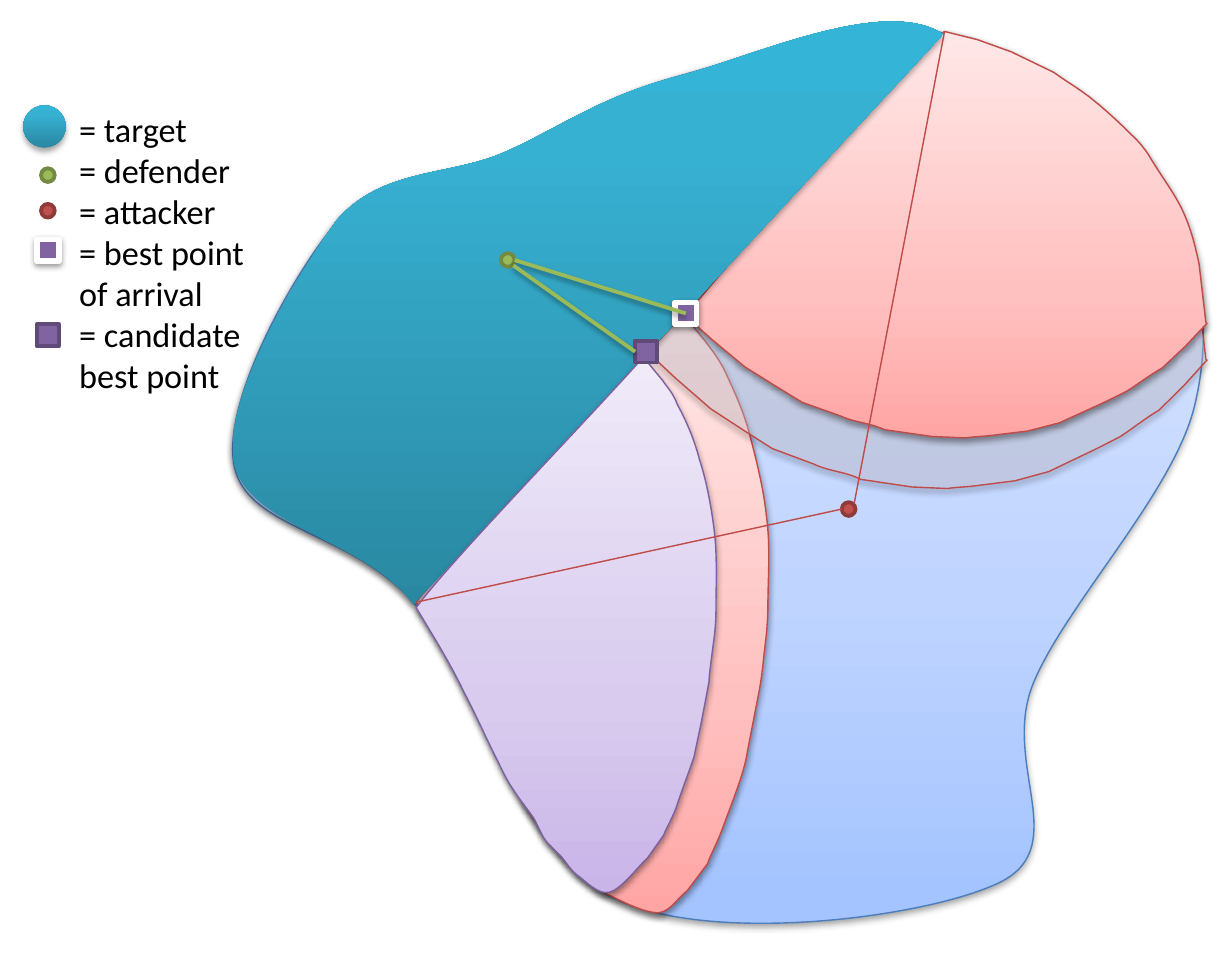
from copy import deepcopy

from lxml import etree
from pptx import Presentation
from pptx.dml.color import RGBColor
from pptx.enum import shapes, text
from pptx.oxml import ns
from pptx.util import Inches, Pt

BLACK, WHITE = RGBColor(0x00, 0x00, 0x00), RGBColor(0xFF, 0xFF, 0xFF)
BLUE_LINE = RGBColor(0x4B, 0x7E, 0xBC)
RED_LINE = RGBColor(0xBF, 0x4C, 0x48)
PURPLE_LINE = RGBColor(0x7D, 0x60, 0xA0)
RED, RED_EDGE = RGBColor(0xC0, 0x50, 0x4D), RGBColor(0x8E, 0x3B, 0x39)
GREEN, GREEN_EDGE = RGBColor(0x9B, 0xBB, 0x59), RGBColor(0x73, 0x8A, 0x42)
PURPLE, PURPLE_EDGE = RGBColor(0x80, 0x64, 0xA2), RGBColor(0x5F, 0x4A, 0x78)
HAZE = RGBColor(0xE6, 0xE0, 0xEC)

# Gradients from bottom to top: (position, colour)
BLUE_FADE = ((0, RGBColor(0xA4, 0xC4, 0xFF)), (0.35, RGBColor(0xBF, 0xD4, 0xFF)),
             (1, RGBColor(0xE6, 0xEE, 0xFF)))
RED_FADE = ((0, RGBColor(0xFF, 0xA6, 0xA5)), (0.35, RGBColor(0xFF, 0xC0, 0xBF)),
            (1, RGBColor(0xFF, 0xE7, 0xE7)))
PURPLE_FADE = ((0, RGBColor(0xC9, 0xB5, 0xE8)), (0.35, RGBColor(0xD8, 0xCB, 0xEE)),
               (1, RGBColor(0xF0, 0xEA, 0xF9)))
TARGET_FADE = ((0, RGBColor(0x2A, 0x88, 0xA2)), (0.8, RGBColor(0x37, 0xB1, 0xD2)),
               (1, RGBColor(0x34, 0xB4, 0xD6)))

# Shadows: (opacity in percent, distance in points)
SOFT_SHADOW, TARGET_SHADOW = (38, 1.6), (35, 1.8)

# Outlines in inches: M start, L line, C curve, Z close
FIELD = """M 4.91 .57 C 5.45 .42 6.31 .13 6.89 .24 C 7.48 .34 8.12 .76 8.43 1.22
C 8.74 1.67 8.88 2.32 8.73 2.95 C 8.59 3.58 7.79 4.41 7.55 4.99 C 7.31 5.57 7.83 6.17 7.32 6.44
C 6.81 6.7 5.22 6.91 4.5 6.57 C 3.78 6.24 3.48 4.93 3.02 4.4 C 2.55 3.87 1.8 3.87 1.71 3.4
C 1.62 2.93 2.15 1.98 2.48 1.6 C 2.81 1.23 3.29 1.31 3.69 1.14 C 4.1 .97 4.38 .72 4.91 .57 Z"""
LOWER_RED = """M 4.99 2.3 L 5.15 2.49 C 5.2 2.56 5.23 2.59 5.29 2.7 C 5.34 2.81 5.42 2.97 5.47 3.15
C 5.52 3.34 5.58 3.57 5.6 3.78 C 5.63 3.99 5.61 4.24 5.61 4.41 C 5.61 4.58 5.59 4.7 5.58 4.8
C 5.57 4.9 5.56 4.97 5.55 5.03 C 5.54 5.08 5.49 5.34 5.47 5.44 C 5.45 5.55 5.45 5.56 5.42 5.66
C 5.39 5.76 5.32 5.94 5.28 6.05 C 5.24 6.16 5.18 6.27 5.17 6.31 L 5.02 6.51
C 4.95 6.56 4.9 6.66 4.81 6.67 C 4.71 6.67 4.55 6.59 4.47 6.55 C 4.38 6.51 4.35 6.48 4.29 6.43
L 4.22 6.37 C 4.16 6.31 4.11 6.25 4.05 6.18 C 3.99 6.11 3.93 6.03 3.87 5.94
C 3.82 5.85 3.78 5.77 3.71 5.64 C 3.64 5.5 3.54 5.28 3.45 5.12 C 3.36 4.95 3.25 4.75 3.18 4.63
L 3.04 4.4 C 3.34 4.01 4.34 3 4.99 2.3 Z"""
UPPER_RED = """M 8.82 2.36 L 8.66 2.53 L 8.49 2.69 C 8.4 2.74 8.31 2.81 8.23 2.86
C 8.15 2.9 8.07 2.94 7.98 2.98 L 7.74 3.09 L 7.51 3.15 L 7.26 3.18 C 7.19 3.19 7.12 3.19 7.05 3.2
L 6.81 3.19 L 6.46 3.14 C 6.36 3.09 6.25 3.09 6.14 3.04 L 5.86 2.94 L 5.68 2.83 L 5.44 2.68
L 5.2 2.48 L 5.01 2.31 C 5.29 1.94 6.54 .57 6.9 .23 L 7.14 .29 L 7.39 .38 L 7.7 .53
C 7.78 .59 7.87 .64 7.96 .71 C 8.05 .78 8.16 .88 8.23 .95 C 8.3 1.02 8.32 1.03 8.39 1.13
C 8.47 1.27 8.58 1.41 8.64 1.54 C 8.7 1.67 8.73 1.79 8.76 1.93 L 8.81 2.36"""
TARGET = """M 4.91 .57 C 5.47 .43 6.45 -.04 6.89 .25 L 3.02 4.42 C 2.68 3.94 1.81 3.85 1.71 3.38
C 1.62 2.91 2.18 2 2.46 1.61 C 2.79 1.23 3.26 1.29 3.67 1.12 C 4.08 .94 4.36 .72 4.91 .57 Z"""
LOWER_PURPLE = """M 4.7 2.61 L 4.84 2.78 C 4.88 2.84 4.91 2.86 4.95 2.96 C 5 3.05 5.07 3.2 5.11 3.36
C 5.16 3.51 5.2 3.72 5.22 3.9 C 5.24 4.08 5.23 4.3 5.23 4.45 C 5.23 4.6 5.21 4.7 5.2 4.79
C 5.19 4.87 5.18 4.94 5.18 4.98 C 5.17 5.03 5.13 5.25 5.11 5.34 C 5.09 5.44 5.09 5.44 5.07 5.53
C 5.04 5.62 4.98 5.78 4.95 5.87 C 4.92 5.97 4.86 6.06 4.85 6.1 L 4.73 6.27
C 4.67 6.32 4.54 6.5 4.45 6.52 C 4.37 6.54 4.28 6.44 4.21 6.39 C 4.15 6.34 4.12 6.27 4.07 6.23
L 4 6.16 C 3.95 6.1 3.94 6.05 3.9 5.98 C 3.86 5.92 3.8 5.85 3.75 5.77
C 3.7 5.7 3.67 5.63 3.61 5.51 C 3.55 5.39 3.47 5.21 3.39 5.06 C 3.32 4.91 3.22 4.74 3.16 4.64
L 3.04 4.44 C 3.29 4.1 4.15 3.22 4.7 2.61 Z"""


def set_shadow(shape, shadow):
    properties = shape._element.spPr
    effects = properties.find(ns.qn("a:effectLst"))
    if effects is None:
        effects = etree.SubElement(properties, ns.qn("a:effectLst"))
    if shadow:
        opacity, distance = shadow
        outer = etree.SubElement(effects, ns.qn("a:outerShdw"), blurRad=str(Pt(3.1)),
                                 dist=str(Pt(distance)), dir="5400000", rotWithShape="0")
        color = etree.SubElement(outer, ns.qn("a:srgbClr"), val=str(BLACK))
        etree.SubElement(color, ns.qn("a:alpha"), val=str(opacity * 1000))


def set_format(shape, fill, line, width, shadow):
    if isinstance(fill, RGBColor):
        shape.fill.solid()
        shape.fill.fore_color.rgb = fill
    else:
        shape.fill.gradient()
        shape.fill.gradient_angle = 90
        stops = shape._element.spPr.find(".//" + ns.qn("a:gsLst"))
        stops.append(deepcopy(stops[-1]))
        for stop, (stop.position, stop.color.rgb) in zip(shape.fill.gradient_stops, fill):
            pass
    if line is None:
        shape.line.fill.background()
    else:
        shape.line.color.rgb = line
        shape.line.width = Pt(width)
    shape.shadow.inherit = False
    set_shadow(shape, shadow)


def add_region(slide, outline, fill, line=None, shadow=SOFT_SHADOW):
    segments = []
    for part in outline.replace("Z", "").replace("C", "L").split("L"):
        numbers = [Inches(float(number)) for number in part.replace("M", "").split()]
        segments.append(list(zip(numbers[::2], numbers[1::2])))
    builder = slide.shapes.build_freeform(*segments[0][0], scale=1.0)
    builder.add_line_segments([points[-1] for points in segments[1:]], close=outline.endswith("Z"))
    region = builder.convert_to_shape()

    # Turn the segments that have control points into curves
    steps = region._element.findall(".//" + ns.qn("a:lnTo"))
    for step, points in zip(steps, segments[1:]):
        if len(points) == 3:
            curve = etree.Element(ns.qn("a:cubicBezTo"))
            for x, y in points:
                etree.SubElement(curve, ns.qn("a:pt"), x=str(x - region.left), y=str(y - region.top))
            step.getparent().replace(step, curve)
    set_format(region, fill, line, 0.75, shadow)
    return region


def add_marker(slide, kind, left, top, size, fill, line=None, width=2, shadow=None):
    marker = slide.shapes.add_shape(kind, *map(Inches, (left, top, size, size)))
    set_format(marker, fill, line, width, shadow)


def add_dot(slide, left, top, fill, line):
    add_marker(slide, shapes.MSO_SHAPE.OVAL, left, top, 0.1, fill, line)


def add_square(slide, left, top, line=PURPLE_EDGE, width=2, shadow=None):
    add_marker(slide, shapes.MSO_SHAPE.RECTANGLE, left, top, 0.16, PURPLE, line, width, shadow)


def add_line(slide, start, end, color, width=0.75, shadow=None):
    connector = slide.shapes.add_connector(shapes.MSO_CONNECTOR.STRAIGHT, *map(Inches, start + end))
    connector.line.color.rgb = color
    connector.line.width = Pt(width)
    set_shadow(connector, shadow)


def add_text(slide, content, left, top, width, height, size=18, color=BLACK, font="Calibri"):
    frame = slide.shapes.add_textbox(*map(Inches, (left, top, width, height))).text_frame
    frame.word_wrap = True
    frame.auto_size = text.MSO_AUTO_SIZE.SHAPE_TO_FIT_TEXT
    frame.text = content
    for paragraph in frame.paragraphs:
        paragraph.font.size = Pt(size)
        paragraph.font.name = font
        paragraph.font.color.rgb = color


def main():
    presentation = Presentation()
    presentation.slide_width, presentation.slide_height = Inches(9), Inches(7)
    slide = presentation.slides.add_slide(presentation.slide_layouts[6])

    # Field and regions behind the target; the haze is a larger upper region
    add_region(slide, FIELD, BLUE_FADE, BLUE_LINE)
    add_region(slide, LOWER_RED, RED_FADE, RED_LINE)
    haze = add_region(slide, UPPER_RED, HAZE, RED_LINE)
    haze.left, haze.top, haze.width, haze.height = map(Inches, (4.73, 0.24, 4.09, 3.33))
    haze_color = haze._element.spPr.find(ns.qn("a:solidFill"))[0]
    etree.SubElement(haze_color, ns.qn("a:alpha"), val="33000")
    add_line(slide, (6.89, 0.24), (3.02, 4.4), BLUE_LINE)
    add_dot(slide, 6.15, 3.67, RED, RED_EDGE)

    # Legend
    add_text(slide, "= target\n= defender\n= attacker\n= best point of arrival\n"
             "= candidate best point", 0.48, 0.74, 1.65, 2.22)
    add_marker(slide, shapes.MSO_SHAPE.OVAL, 0.17, 0.77, 0.31, TARGET_FADE, shadow=TARGET_SHADOW)
    add_dot(slide, 0.3, 1.23, GREEN, GREEN_EDGE)
    add_dot(slide, 0.3, 1.49, RED, RED_EDGE)
    add_square(slide, 0.27, 1.75, WHITE, 3, SOFT_SHADOW)
    add_square(slide, 0.27, 2.37)

    # Target and front regions
    add_region(slide, UPPER_RED, RED_FADE, RED_LINE)
    add_region(slide, TARGET, TARGET_FADE, shadow=TARGET_SHADOW)
    add_square(slide, 4.93, 2.21, WHITE, 3, SOFT_SHADOW)
    add_dot(slide, 3.66, 1.85, GREEN, GREEN_EDGE)
    add_region(slide, LOWER_PURPLE, PURPLE_FADE, PURPLE_LINE)

    # Attacker and defender paths
    add_line(slide, (3.04, 4.4), (6.15, 3.72), RED_LINE)
    add_line(slide, (6.9, 0.23), (6.24, 3.68), RED_LINE)
    add_line(slide, (3.76, 1.9), (5.01, 2.29), GREEN, 2, SOFT_SHADOW)
    add_square(slide, 4.64, 2.49)
    add_line(slide, (3.75, 1.94), (4.64, 2.57), GREEN, 2, SOFT_SHADOW)
    presentation.save("out.pptx")


if __name__ == "__main__":
    main()
